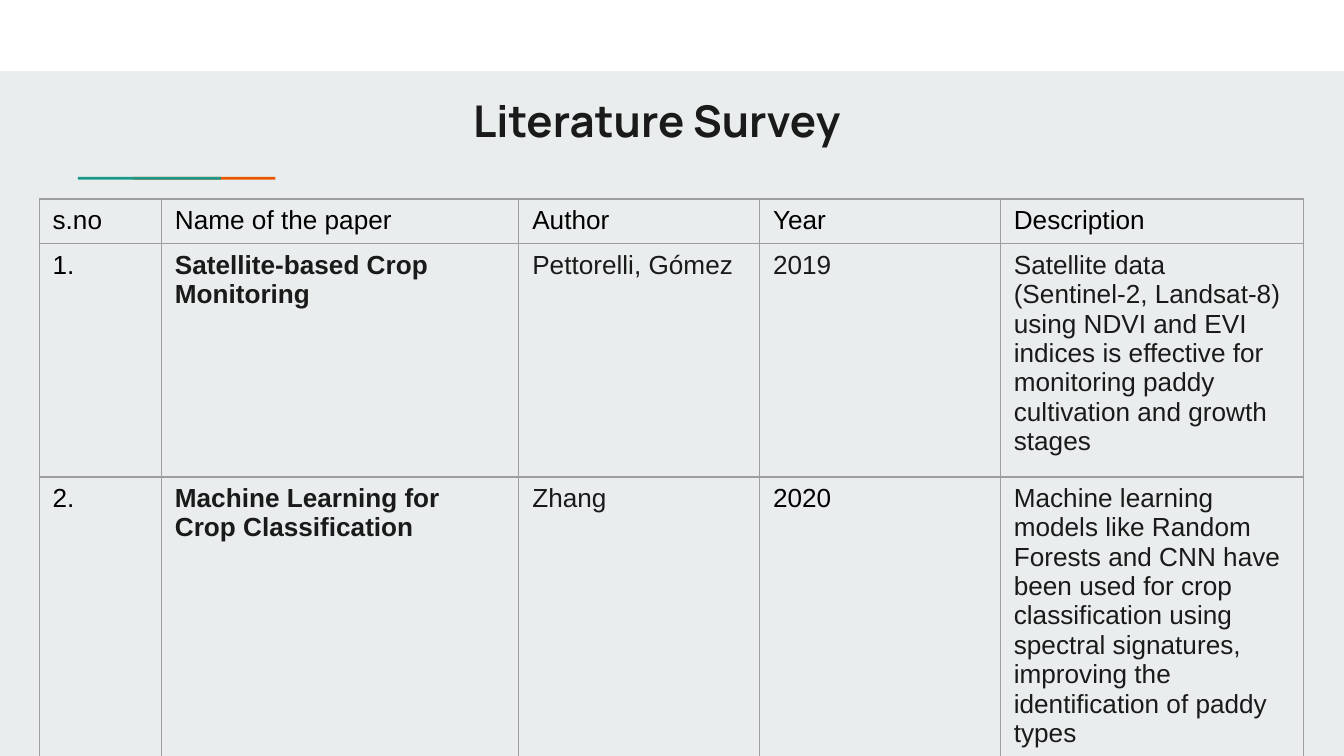
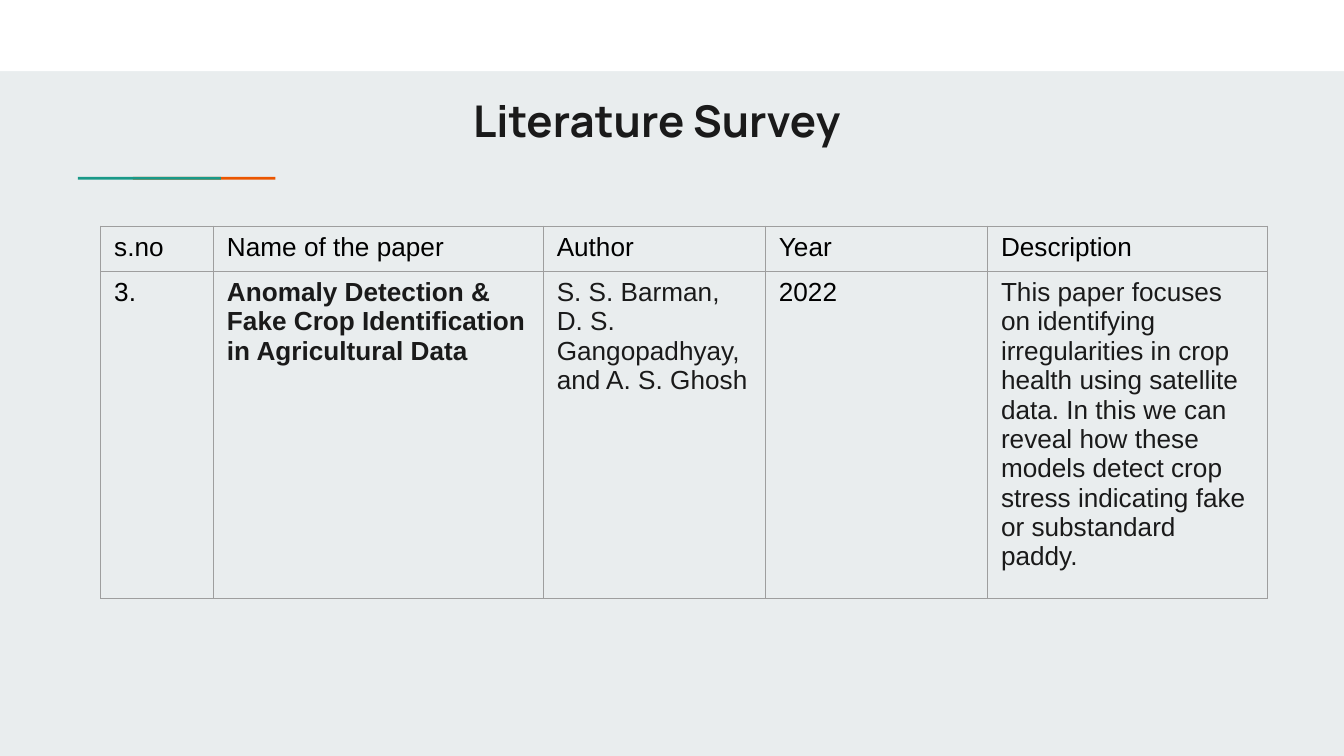
from dataclasses import dataclass

from lxml.etree import SubElement
from pptx import Presentation
from pptx.dml.color import RGBColor
from pptx.enum.shapes import MSO_SHAPE
from pptx.enum.text import MSO_ANCHOR, PP_ALIGN
from pptx.oxml.ns import qn
from pptx.slide import Slide
from pptx.table import _Cell
from pptx.text.text import _Paragraph
from pptx.util import Pt


# Theme: colours, fonts and type sizes
@dataclass(frozen=True)
class Theme:
    back: str = "E9EDEE"
    white: str = "FFFFFF"
    teal: str = "1A9988"
    orange: str = "EB5600"
    ink: str = "1A1A1A"
    black: str = "000000"
    grid: str = "9E9E9E"
    head: str = "Manrope"
    body: str = "Arial"
    head_size: float = 23.4
    body_size: float = 14
    grid_width: float = 0.75


THEME = Theme()


# Content records
@dataclass(frozen=True)
class Bar:
    left: float
    top: float
    width: float
    height: float
    color: str


@dataclass(frozen=True)
class Paper:
    number: str
    name: str
    author: str
    year: str
    about: str
    height: float
    year_color: str = THEME.black


@dataclass(frozen=True)
class Survey:
    left: float
    top: float
    width: float
    papers: tuple[Paper, ...]


BARS = (
    Bar(0, 0, 720, 38.2, THEME.white),
    Bar(71.2, 94.8, 76.4, 1.5, THEME.orange),
    Bar(41.8, 94.8, 76.6, 1.5, THEME.teal),
)
TITLE = "Literature Survey"
HEADS = ("s.no", "Name of the paper", "Author", "Year", "Description")
SHARES = (65.5, 191.5, 129, 129, 162.5)
HEAD_HEIGHT = 23

SURVEYS = (
    Survey(21, 106.6, 677.5, (
        Paper("1.", "Satellite-based Crop Monitoring", "Pettorelli, Gómez", "2019",
              "Satellite data (Sentinel-2, Landsat-8) using NDVI and EVI indices is "
              "effective for monitoring paddy cultivation and growth stages",
              117, THEME.ink),
        Paper("2.", "Machine Learning for Crop Classification", "Zhang", "2020",
              "Machine learning models like Random Forests and CNN have been used for "
              "crop classification using spectral signatures, improving the "
              "identification of paddy types", 148.5),
    )),
    Survey(54, 121.2, 625, (
        Paper("3.", "Anomaly Detection & Fake Crop Identification in Agricultural Data",
              "S. S. Barman, D. S. Gangopadhyay, and A. S. Ghosh", "2022",
              "This paper focuses on identifying irregularities in crop health using "
              "satellite data. In this we can reveal how these models detect crop "
              "stress indicating fake or substandard paddy.", 164.5),
    )),
)


def add_run(para: _Paragraph, text: str, font: str, size: float,
            color: str, bold: bool = False) -> None:
    run = para.add_run()
    run.text = text
    run.font.name = font
    run.font.size = Pt(size)
    run.font.bold = bold
    run.font.color.rgb = RGBColor.from_string(color)


# Shared frame: background, band, rule and title
def add_bar(slide: Slide, bar: Bar) -> None:
    shape = slide.shapes.add_shape(MSO_SHAPE.RECTANGLE, Pt(bar.left), Pt(bar.top),
                                   Pt(bar.width), Pt(bar.height))
    shape.shadow.inherit = False
    shape.fill.solid()
    shape.fill.fore_color.rgb = RGBColor.from_string(bar.color)
    shape.line.fill.background()


def add_frame(slide: Slide) -> None:
    fill = slide.background.fill
    fill.solid()
    fill.fore_color.rgb = RGBColor.from_string(THEME.back)
    for bar in BARS:
        add_bar(slide, bar)

    frame = slide.shapes.add_textbox(Pt(49), Pt(38.9), Pt(605.5), Pt(51)).text_frame
    frame.word_wrap = True
    frame.vertical_anchor = MSO_ANCHOR.TOP
    frame.margin_left = frame.margin_right = Pt(7.2)
    frame.margin_top = frame.margin_bottom = Pt(7.2)
    para = frame.paragraphs[0]
    para.alignment = PP_ALIGN.CENTER
    para.line_spacing = 1.15
    para.space_after = Pt(12)
    add_run(para, TITLE, THEME.head, THEME.head_size, THEME.ink, True)


# Survey table
def set_grid(cell: _Cell) -> None:
    props = cell._tc.get_or_add_tcPr()
    for side in ("a:lnL", "a:lnR", "a:lnT", "a:lnB"):
        line = SubElement(props, qn(side), w=str(Pt(THEME.grid_width)))
        fill = SubElement(line, qn("a:solidFill"))
        SubElement(fill, qn("a:srgbClr"), val=THEME.grid)
    SubElement(props, qn("a:noFill"))


def add_cell(cell: _Cell, text: str, color: str, bold: bool = False) -> None:
    set_grid(cell)
    add_run(cell.text_frame.paragraphs[0], text, THEME.body, THEME.body_size,
            color, bold)


def add_table(slide: Slide, survey: Survey) -> None:
    heights = [HEAD_HEIGHT] + [paper.height for paper in survey.papers]
    table = slide.shapes.add_table(
        len(heights), len(HEADS), Pt(survey.left), Pt(survey.top),
        Pt(survey.width), Pt(sum(heights))).table
    table.first_row = table.horz_banding = False
    for column, share in zip(table.columns, SHARES):
        column.width = Pt(survey.width * share / sum(SHARES))
    for row, height in zip(table.rows, heights):
        row.height = Pt(height)

    for col, head in enumerate(HEADS):
        add_cell(table.cell(0, col), head, THEME.black)
    for row, paper in enumerate(survey.papers, 1):
        add_cell(table.cell(row, 0), paper.number, THEME.black)
        add_cell(table.cell(row, 1), paper.name, THEME.ink, True)
        add_cell(table.cell(row, 2), paper.author, THEME.ink)
        add_cell(table.cell(row, 3), paper.year, paper.year_color)
        add_cell(table.cell(row, 4), paper.about, THEME.ink)


def main() -> None:
    deck = Presentation()
    deck.slide_width, deck.slide_height = Pt(720), Pt(405)
    for survey in SURVEYS:
        slide = deck.slides.add_slide(deck.slide_layouts[6])
        add_frame(slide)
        add_table(slide, survey)
    deck.save("out.pptx")


if __name__ == "__main__":
    main()
